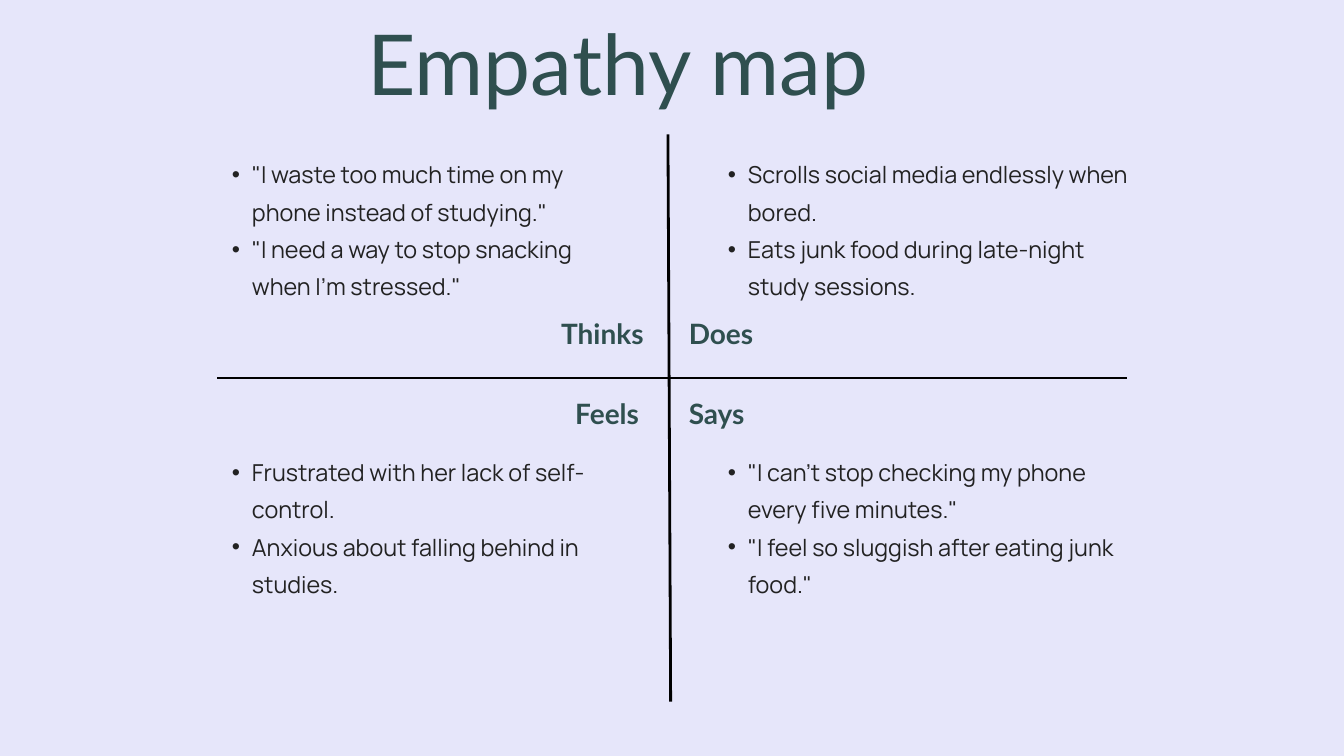
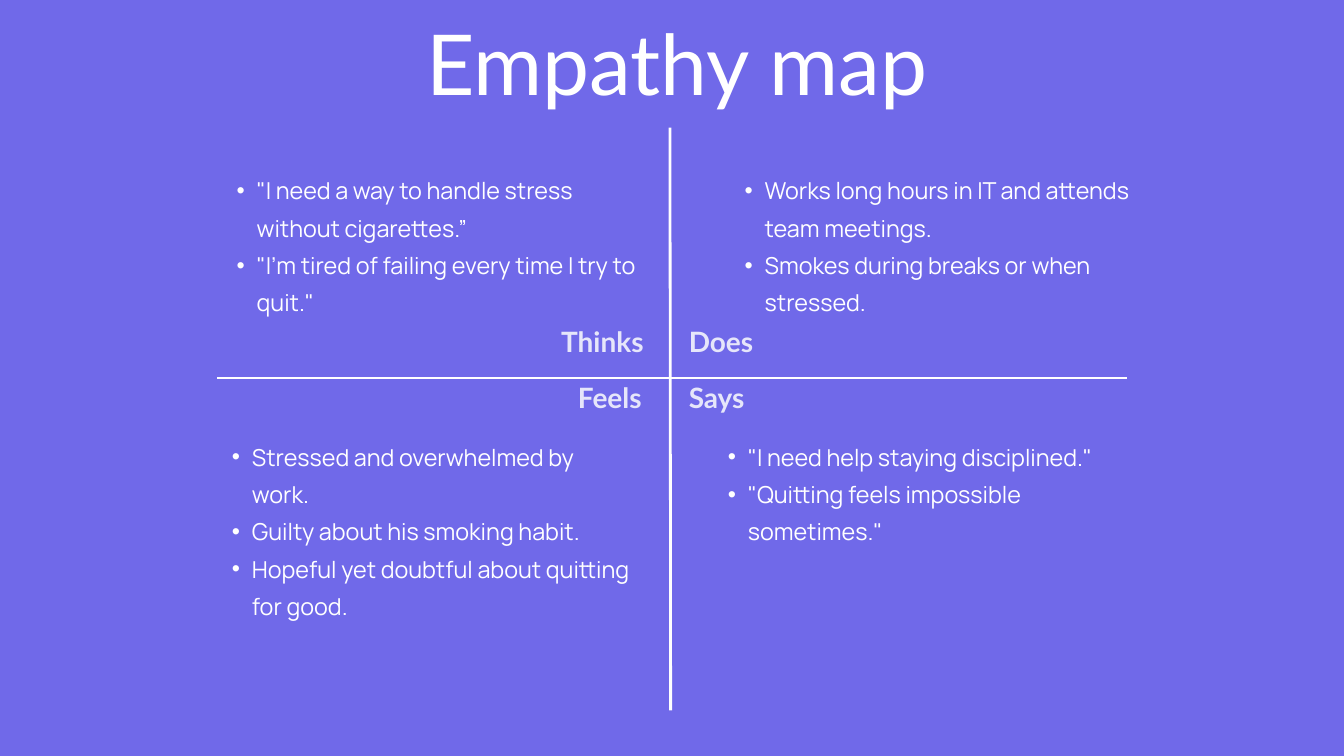
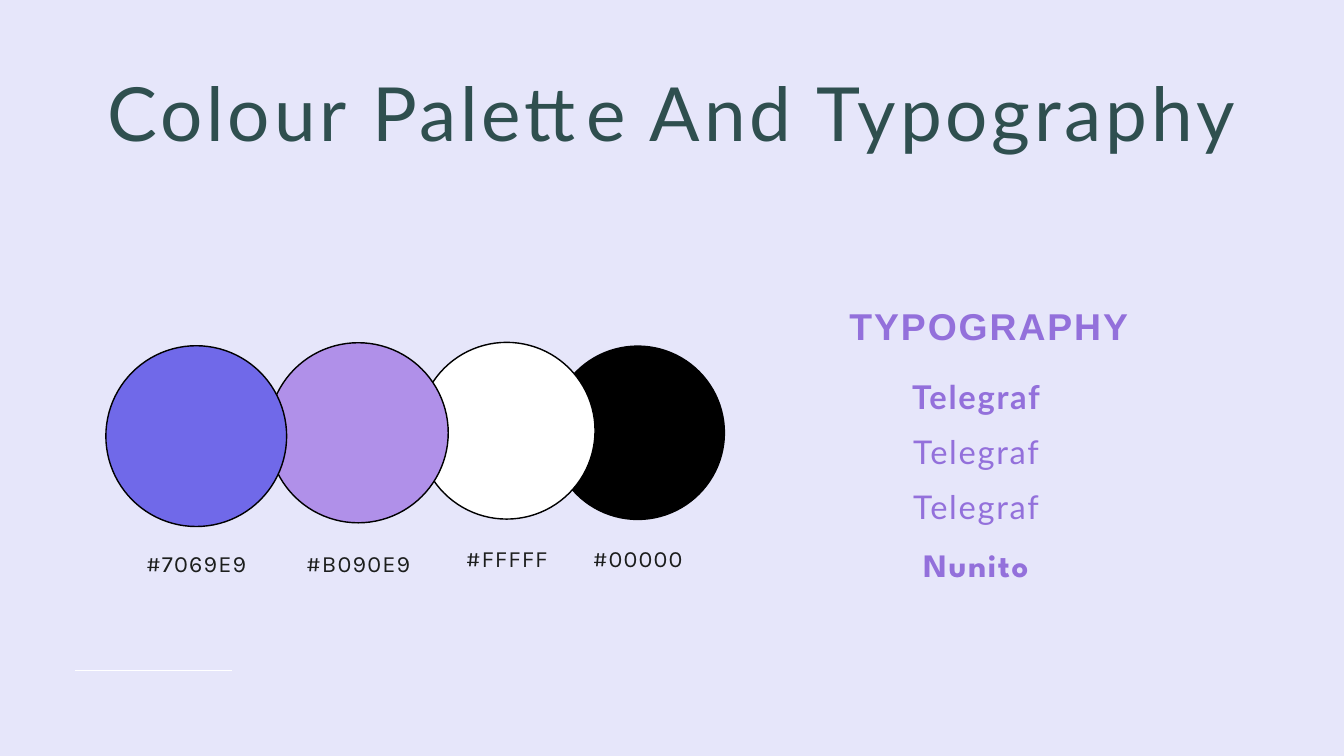
from lxml.etree import SubElement
from pptx import Presentation
from pptx.dml.color import RGBColor
from pptx.enum.shapes import MSO_CONNECTOR, MSO_SHAPE
from pptx.enum.text import MSO_ANCHOR, MSO_AUTO_SIZE, PP_ALIGN
from pptx.oxml.ns import qn
from pptx.util import Inches, Pt

LAVENDER = RGBColor(0xE6, 0xE6, 0xFA)
INDIGO = RGBColor(0x70, 0x69, 0xE9)
LILAC = RGBColor(0xB0, 0x90, 0xE9)
PURPLE = RGBColor(0x93, 0x70, 0xDB)
SLATE = RGBColor(0x2F, 0x4F, 0x4F)
CHARCOAL = RGBColor(0x22, 0x22, 0x22)
INK = RGBColor(0x1C, 0x1E, 0x1D)
BLACK = RGBColor(0x00, 0x00, 0x00)
WHITE = RGBColor(0xFF, 0xFF, 0xFF)

COLUMNS = 20
ROWS = 11.25
TITLE_FONT = "Lato"
BODY_FONT = "Manrope"
CODE_FONT = "Karla"
LOOSE = 1.47
TRACKING = 5.25


class Deck:
    def __init__(self):
        self.presentation = Presentation()
        self.presentation.slide_width = Inches(20)
        self.presentation.slide_height = Inches(11.25)
        self.column = self.presentation.slide_width / COLUMNS
        self.row = self.presentation.slide_height / ROWS
        self.slide = None

    def place(self, left, top, width, height):
        return (round(left * self.column), round(top * self.row),
                round(width * self.column), round(height * self.row))

    def new_slide(self, background):
        layout = self.presentation.slide_layouts[5]
        self.slide = self.presentation.slides.add_slide(layout)
        self.slide.background.fill.solid()
        self.slide.background.fill.fore_color.rgb = background

    def fill_text(self, holder, lines, size, color, font=TITLE_FONT, bold=False,
                  leading=1.0, align=PP_ALIGN.LEFT, tracked=False, bullets=False):
        frame = holder.text_frame
        frame.word_wrap = True
        frame.auto_size = MSO_AUTO_SIZE.SHAPE_TO_FIT_TEXT
        frame.vertical_anchor = MSO_ANCHOR.TOP
        frame.margin_left = frame.margin_right = 0
        frame.margin_top = frame.margin_bottom = 0
        for index, line in enumerate(lines):
            paragraph = frame.add_paragraph() if index else frame.paragraphs[0]
            if bullets:
                self.bullet(paragraph)
            paragraph.alignment = align
            paragraph.line_spacing = Pt(size * leading)
            paragraph.space_before = Pt(0)
            run = paragraph.add_run()
            run.text = line
            run.font.size = Pt(size)
            run.font.name = font
            run.font.bold = bold
            run.font.color.rgb = color
            if tracked:
                run.font._element.set("spc", str(round(size * TRACKING)))

    def bullet(self, paragraph):
        paragraph.level = 1
        properties = paragraph._p.get_or_add_pPr()
        properties.set("marL", str(Inches(0.59)))
        properties.set("indent", str(Inches(-0.3)))
        SubElement(properties, qn("a:buFont")).set("typeface", "Arial")
        SubElement(properties, qn("a:buChar")).set("char", "•")

    def title(self, wording, area, size, color, **style):
        heading = self.slide.shapes.title
        heading.left, heading.top, heading.width, heading.height = self.place(*area)
        self.fill_text(heading, [wording], size, color, **style)

    def text(self, lines, area, size, color, **style):
        box = self.slide.shapes.add_textbox(*self.place(*area))
        self.fill_text(box, lines, size, color, **style)

    def line(self, start, end, color, weight):
        ends = self.place(*start, *end)
        rule = self.slide.shapes.add_connector(MSO_CONNECTOR.STRAIGHT, *ends)
        rule.line.color.rgb = color
        rule.line.width = Pt(weight)
        SubElement(rule._element.spPr, qn("a:effectLst"))

    def circle(self, center, middle, diameter, color):
        area = self.place(center - diameter / 2, middle - diameter / 2, diameter, diameter)
        disc = self.slide.shapes.add_shape(MSO_SHAPE.OVAL, *area)
        disc.shadow.inherit = False
        disc.fill.solid()
        disc.fill.fore_color.rgb = color
        disc.line.color.rgb = BLACK
        disc.line.width = Pt(1.5)

    def empathy_map(self, background, title_color, label_color, note_color,
                    axis_color, title_left, axis, quadrants):
        self.new_slide(background)
        self.title("Empathy map", (title_left, 0.55, 11.31, 1.32), 90, title_color, leading=0.9)
        self.line((3.23, ROWS / 2), (16.77, ROWS / 2), axis_color, 3)
        self.line(*axis, axis_color, 3)
        for label, label_at, notes_at, line_count, notes in quadrants:
            self.text(notes, (*notes_at, 6.24, 0.55 * line_count), 25, note_color,
                      font=BODY_FONT, leading=1.6, bullets=True)
            self.text([label], (*label_at, 4.39, 0.49), 30, label_color, bold=True)

    def palette(self, swatches, samples):
        loose = {"leading": LOOSE, "align": PP_ALIGN.CENTER, "tracked": True}
        self.new_slide(LAVENDER)
        self.title("Colour Palette And Typography", (0.62, 0.69, 18.76, 3.26),
                   80, SLATE, **loose)
        self.line((1.12, 9.98), (3.45, 9.98), WHITE, 0.75)
        self.text(["TYPOGRAPHY"], (12.31, 4.36, 4.81, 0.79), 40, PURPLE,
                  font="Arial", bold=True, **loose)
        for name, top, font, bold in samples:
            self.text([name], (13.15, top, 2.75, 0.72), 35, PURPLE,
                      font=font, bold=bold, **loose)
        for code, color, center, middle, diameter, code_top in swatches:
            self.circle(center, middle, diameter, color)
            self.text([code], (center - 0.82, code_top, 1.64, 0.48), 25, INK,
                      font=CODE_FONT, **loose)


STUDENT = [
    ("Thinks", (8.35, 4.79), (3.16, 2.25), 4,
     ["\"I waste too much time on my phone instead of studying.\"",
      "\"I need a way to stop snacking when I’m stressed.\""]),
    ("Does", (10.25, 4.79), (10.54, 2.25), 4,
     ["Scrolls social media endlessly when bored.",
      "Eats junk food during late-night study sessions."]),
    ("Feels", (8.56, 5.98), (3.16, 6.68), 4,
     ["Frustrated with her lack of self-control.",
      "Anxious about falling behind in studies."]),
    ("Says", (10.25, 5.98), (10.54, 6.68), 4,
     ["\"I can’t stop checking my phone every five minutes.\"",
      "\"I feel so sluggish after eating junk food.\""]),
]

SMOKER = [
    ("Thinks", (8.35, 4.91), (3.23, 2.49), 4,
     ["\"I need a way to handle stress without cigarettes.”",
      "\"I’m tired of failing every time I try to quit.\""]),
    ("Does", (10.25, 4.91), (10.79, 2.49), 4,
     ["Works long hours in IT and attends team meetings.",
      "Smokes during breaks or when stressed."]),
    ("Feels", (8.6, 5.74), (3.16, 6.45), 5,
     ["Stressed and overwhelmed by work.",
      "Guilty about his smoking habit.",
      "Hopeful yet doubtful about quitting for good."]),
    ("Says", (10.25, 5.74), (10.54, 6.45), 3,
     ["\"I need help staying disciplined.\"",
      "\"Quitting feels impossible sometimes.\""]),
]

SWATCHES = [
    ("#00000", BLACK, 9.49, 6.44, 2.58, 8),
    ("#FFFFF", WHITE, 7.54, 6.41, 2.63, 8),
    ("#B090E9", LILAC, 5.33, 6.44, 2.68, 8.08),
    ("#7069E9", INDIGO, 2.92, 6.49, 2.69, 8.08),
]

SAMPLES = [
    ("Telegraf", 5.48, TITLE_FONT, True),
    ("Telegraf", 6.29, TITLE_FONT, False),
    ("Telegraf", 7.11, TITLE_FONT, False),
    ("Nunito", 7.98, "League Spartan", True),
]


def main():
    deck = Deck()
    deck.empathy_map(LAVENDER, SLATE, SLATE, CHARCOAL, BLACK, 5.47,
                     ((9.98, 10.44), (9.94, 2)), STUDENT)
    deck.empathy_map(INDIGO, WHITE, LAVENDER, WHITE, WHITE, 6.34,
                     ((9.98, 10.57), (9.97, 1.9)), SMOKER)
    deck.palette(SWATCHES, SAMPLES)
    deck.presentation.save("out.pptx")


if __name__ == "__main__":
    main()
